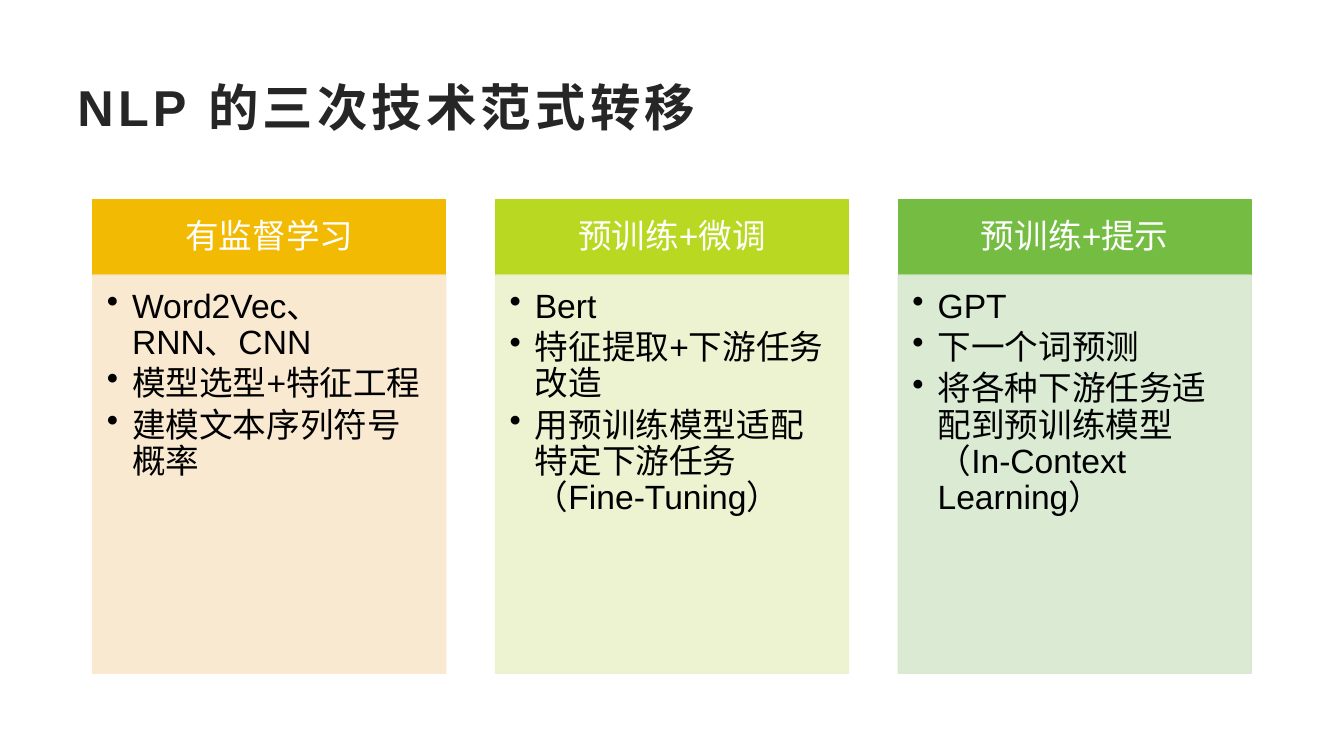
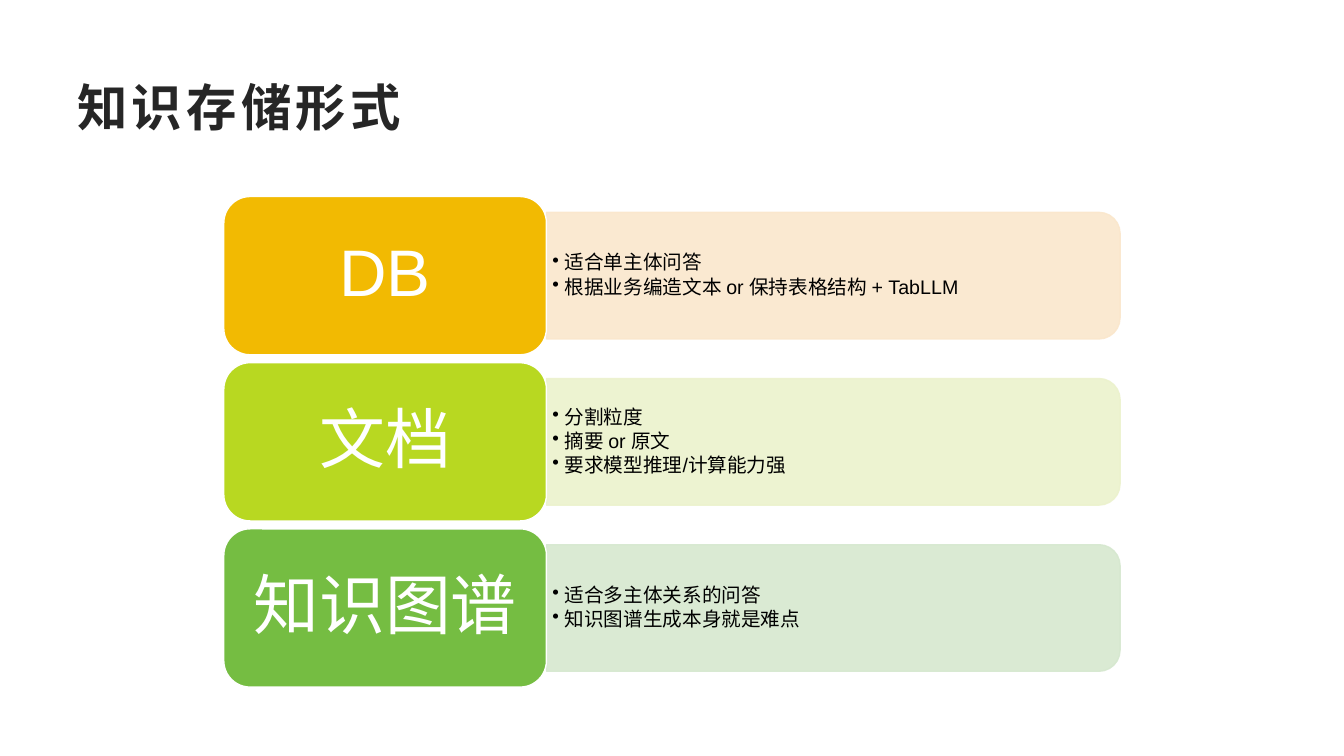
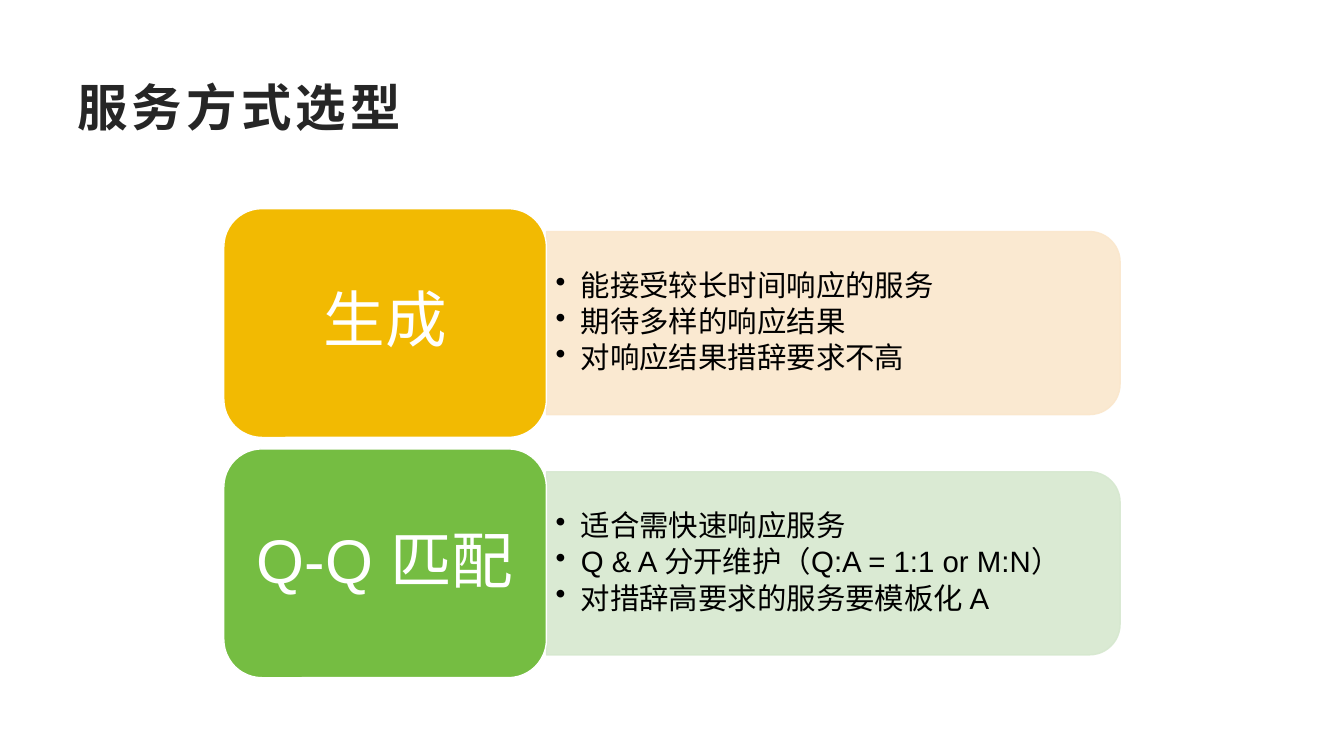
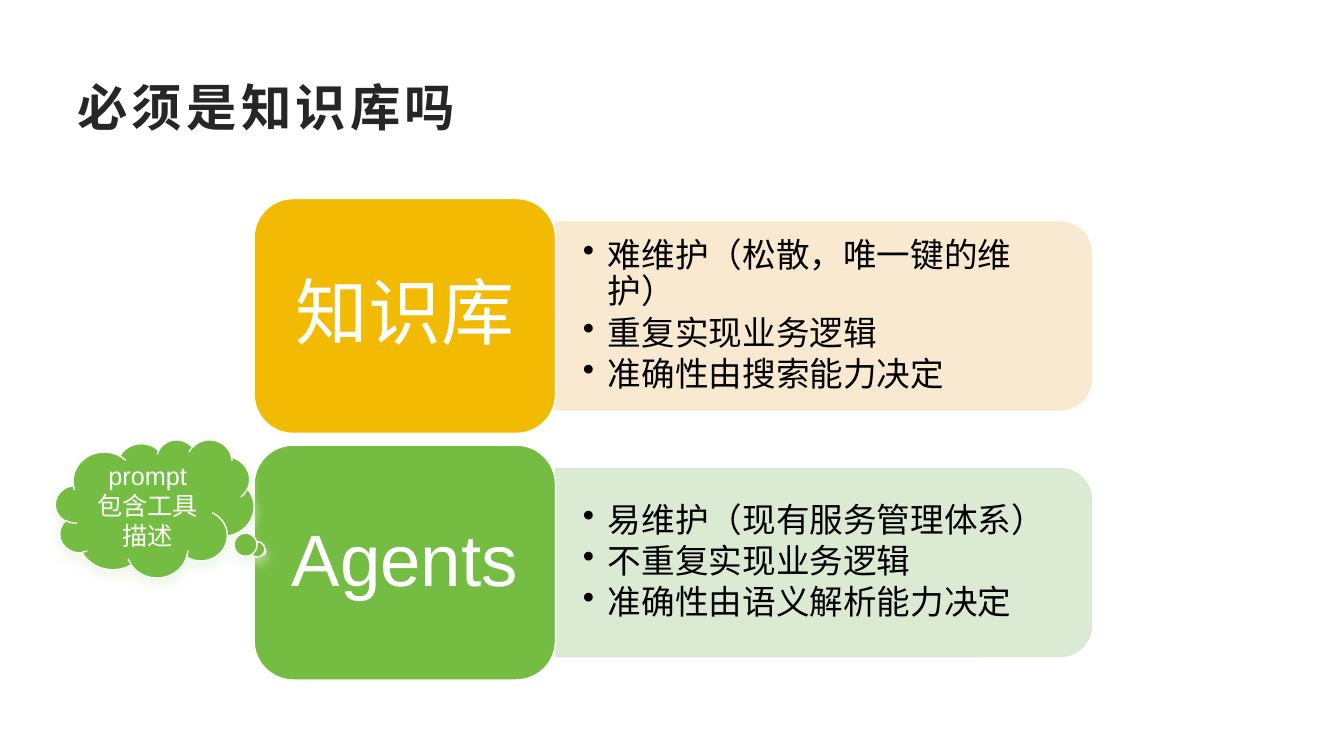
from dataclasses import dataclass

from lxml.etree import SubElement
from pptx import Presentation
from pptx.dml.color import RGBColor
from pptx.enum.shapes import MSO_SHAPE
from pptx.enum.text import MSO_ANCHOR, PP_ALIGN
from pptx.oxml.ns import qn
from pptx.util import Emu, Pt

EMU_PER_PX = 9144


def px(length):
    """Turn px, one hundredth of an inch each, into EMU."""
    return Emu(round(length * EMU_PER_PX))


@dataclass(frozen=True)
class Theme:
    """Colours and type sizes of the deck."""
    font: str = "Arial"
    ink: str = "262626"
    black: str = "000000"
    white: str = "FFFFFF"
    amber: tuple = ("F2BA02", "FAE7CC")
    lime: tuple = ("B8D821", "ECF2CD")
    green: tuple = ("75BD42", "D6E8CF")
    glow: str = "E3F2D9"
    panel_opacity: int = 90
    title_size: int = 36
    body_size: int = 24
    cloud_size: int = 18


@dataclass(frozen=True)
class Stack:
    """Measures of a column of labels with bullet panels."""
    left: int
    top: int
    width: int
    height: int
    label_size: int
    label_inset: int
    bullet_size: int
    bullet_inset: tuple
    indent: int


class Slides:
    """Draws each kind of element on the current slide."""

    def __init__(self, theme):
        """Start an empty wide deck."""
        self.theme = theme
        self.deck = Presentation()
        self.deck.slide_width, self.deck.slide_height = px(1333), px(750)
        self.page = None

    def new_page(self, title):
        """Add a page with its title."""
        self.page = self.deck.slides.add_slide(self.deck.slide_layouts[6])
        box = self.text_box(67, 67, 1200, 77)
        self.frame(box, (10, 5, 10, 5))
        span = self.add_text(box, [title], self.theme.title_size, self.theme.ink, PP_ALIGN.LEFT)
        span.font.bold = True
        span.font._element.set("spc", "300")

    def text_box(self, left, top, width, height):
        """Add an empty text box."""
        return self.page.shapes.add_textbox(px(left), px(top), px(width), px(height))

    def shape(self, kind, left, top, width, height, fill, line, opacity=100):
        """Add a filled and outlined preset shape."""
        box = self.page.shapes.add_shape(kind, px(left), px(top), px(width), px(height))
        box.shadow.inherit = False
        box.fill.solid()
        box.fill.fore_color.rgb = RGBColor.from_string(fill)
        box.line.color.rgb = RGBColor.from_string(line)
        box.line.width = Pt(1)
        if opacity < 100:
            for colour in box._element.spPr.iter(qn("a:srgbClr")):
                SubElement(colour, qn("a:alpha"), val=str(opacity * 1000))
        return box

    def frame(self, box, insets, anchor=MSO_ANCHOR.MIDDLE):
        """Set wrapping, insets and anchor of a box."""
        frame = box.text_frame
        frame.word_wrap = True
        frame.vertical_anchor = anchor
        frame.margin_left, frame.margin_top, frame.margin_right, frame.margin_bottom = map(px, insets)

    def add_text(self, box, lines, size, colour, align=PP_ALIGN.CENTER, spacing=1.0, indent=0):
        """Add one paragraph a line, with bullets if indented."""
        frame = box.text_frame
        for index, line in enumerate(lines):
            para = frame.add_paragraph() if index else frame.paragraphs[0]
            if indent:
                properties = para._p.get_or_add_pPr()
                properties.set("marL", str(px(indent)))
                properties.set("indent", str(px(-indent)))
                SubElement(properties, qn("a:buChar"), char="•")
                para.space_after = Pt(size * 0.15)
            para.alignment = align
            para.line_spacing = spacing
            span = para.add_run()
            span.text = line
            span.font.name = self.theme.font
            span.font.size = Pt(size)
            span.font.color.rgb = RGBColor.from_string(colour)
        return span

    def label(self, box, text, size, insets):
        """Put a centred white label in a shape."""
        self.frame(box, insets)
        self.add_text(box, [text], size, self.theme.white, spacing=0.9)

    def bullets(self, box, lines, size, indent):
        """Put a black bullet list in a box."""
        self.add_text(box, lines, size, self.theme.black, PP_ALIGN.LEFT, 0.9, indent)

    def columns(self, items):
        """Draw headed bullet columns, evenly spread."""
        left, span, width = 92, 1149, 350
        step = (span - width) / (len(items) - 1)
        for index, (heading, lines, (strong, pale)) in enumerate(items):
            start = left + index * step
            head = self.shape(MSO_SHAPE.RECTANGLE, start, 198, width, 75, strong, strong)
            self.label(head, heading, self.theme.body_size, (19, 11, 19, 11))
            body = self.shape(MSO_SHAPE.RECTANGLE, start, 273, width, 395, pale, pale,
                              self.theme.panel_opacity)
            self.frame(body, (14, 14, 19, 21), MSO_ANCHOR.TOP)
            self.bullets(body, lines, self.theme.body_size, 25)

    def stack(self, style, items):
        """Draw rows of a label and a bullet panel rounded at its right."""
        panel_width, panel_height = style.width * 16 / 9, style.height * 0.8
        panel_left = style.left + style.width
        for index, (heading, lines, (strong, pale)) in enumerate(items):
            top = style.top + index * style.height * 1.05
            middle = top + style.height / 2
            panel = self.shape(MSO_SHAPE.ROUND_2_SAME_RECTANGLE,
                               panel_left + (panel_width - panel_height) / 2,
                               middle - panel_width / 2, panel_height, panel_width,
                               pale, pale, self.theme.panel_opacity)
            panel.rotation = 90
            box = self.text_box(panel_left, middle - panel_height * 0.45,
                                panel_width - panel_height * 0.05, panel_height * 0.9)
            self.frame(box, style.bullet_inset * 2)
            self.bullets(box, lines, style.bullet_size, style.indent)
            label = self.shape(MSO_SHAPE.ROUNDED_RECTANGLE, style.left, top, style.width,
                               style.height, strong, self.theme.white)
            self.label(label, heading, style.label_size,
                       (style.label_inset, style.label_inset / 2) * 2)

    def cloud(self, text, left, top, width, height):
        """Draw a thought cloud with a soft shadow."""
        box = self.shape(MSO_SHAPE.CLOUD_CALLOUT, left, top, width, height,
                         self.theme.green[0], self.theme.white)
        box.adjustments[0], box.adjustments[1] = 0.54, 0.31
        effects = box._element.spPr.find(qn("a:effectLst"))
        shadow = SubElement(effects, qn("a:outerShdw"), blurRad=str(Pt(8)), dist=str(Pt(4)),
                            dir="5400000", rotWithShape="0")
        colour = SubElement(shadow, qn("a:srgbClr"), val=self.theme.glow)
        SubElement(colour, qn("a:alpha"), val="60000")
        self.frame(box, (10, 5, 10, 5))
        self.add_text(box, [text], self.theme.cloud_size, self.theme.white)


def main():
    """Build and save the four pages."""
    theme = Theme()
    slides = Slides(theme)

    slides.new_page("NLP 的三次技术范式转移")
    slides.columns([
        ("有监督学习", ["Word2Vec、RNN、CNN", "模型选型+特征工程", "建模文本序列符号概率"], theme.amber),
        ("预训练+微调", ["Bert", "特征提取+下游任务改造",
                    "用预训练模型适配特定下游任务（Fine-Tuning）"], theme.lime),
        ("预训练+提示", ["GPT", "下一个词预测",
                    "将各种下游任务适配到预训练模型（In-Context Learning）"], theme.green),
    ])

    slides.new_page("知识存储形式")
    slides.stack(Stack(222, 195, 320, 157, 47, 20, 14, (6, 3), 12), [
        ("DB", ["适合单主体问答", "根据业务编造文本 or 保持表格结构 + TabLLM"], theme.amber),
        ("文档", ["分割粒度", "摘要 or 原文", "要求模型推理/计算能力强"], theme.lime),
        ("知识图谱", ["适合多主体关系的问答", "知识图谱生成本身就是难点"], theme.green),
    ])

    slides.new_page("服务方式选型")
    slides.stack(Stack(222, 207, 320, 227, 44, 18, 21, (9, 4), 25), [
        ("生成", ["能接受较长时间响应的服务", "期待多样的响应结果", "对响应结果措辞要求不高"], theme.amber),
        ("Q-Q 匹配", ["适合需快速响应服务", "Q & A 分开维护（Q:A = 1:1 or M:N）",
                    "对措辞高要求的服务要模板化 A"], theme.green),
    ])

    slides.new_page("必须是知识库吗")
    slides.stack(Stack(252, 197, 299, 233, 52, 22, 24, (27, 14), 25), [
        ("知识库", ["难维护（松散，唯一键的维护）", "重复实现业务逻辑", "准确性由搜索能力决定"], theme.amber),
        ("Agents", ["易维护（现有服务管理体系）", "不重复实现业务逻辑", "准确性由语义解析能力决定"], theme.green),
    ])
    slides.cloud("prompt 包含工具描述", 55, 436, 197, 137)

    slides.deck.save("out.pptx")


if __name__ == "__main__":
    main()
